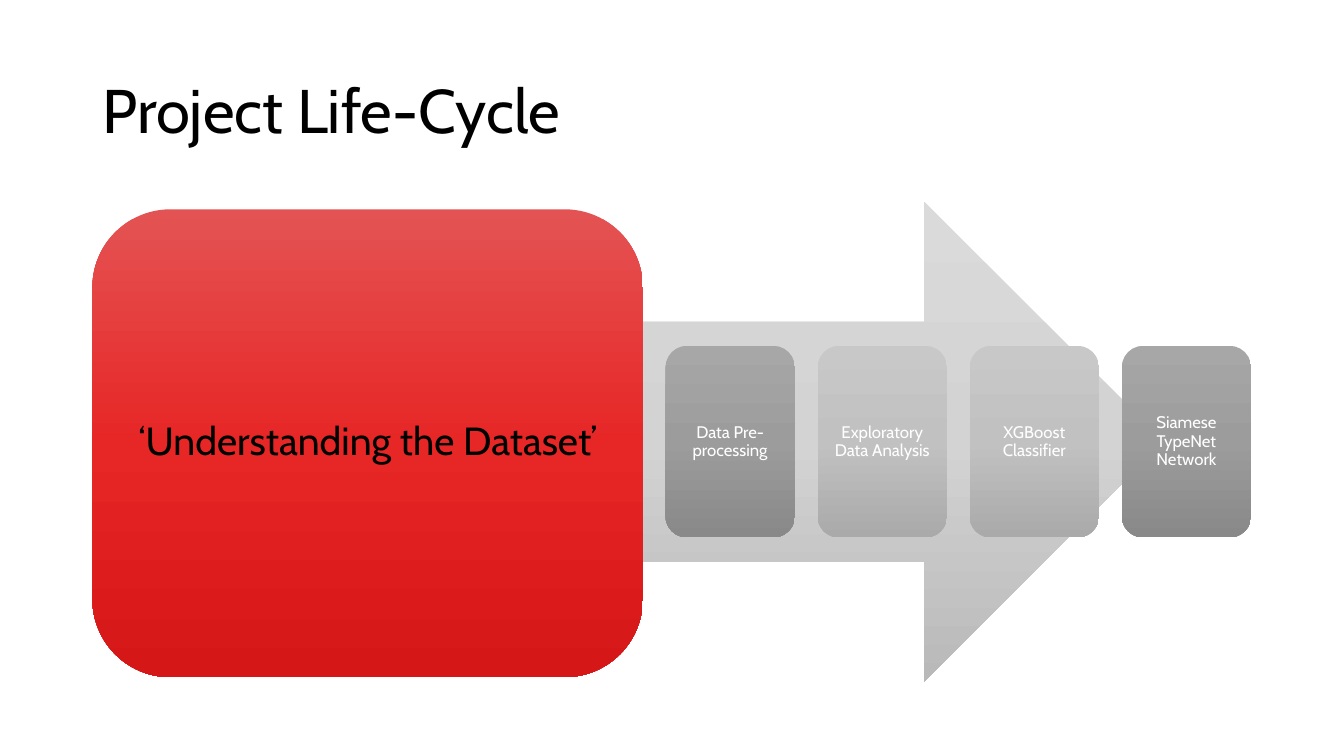
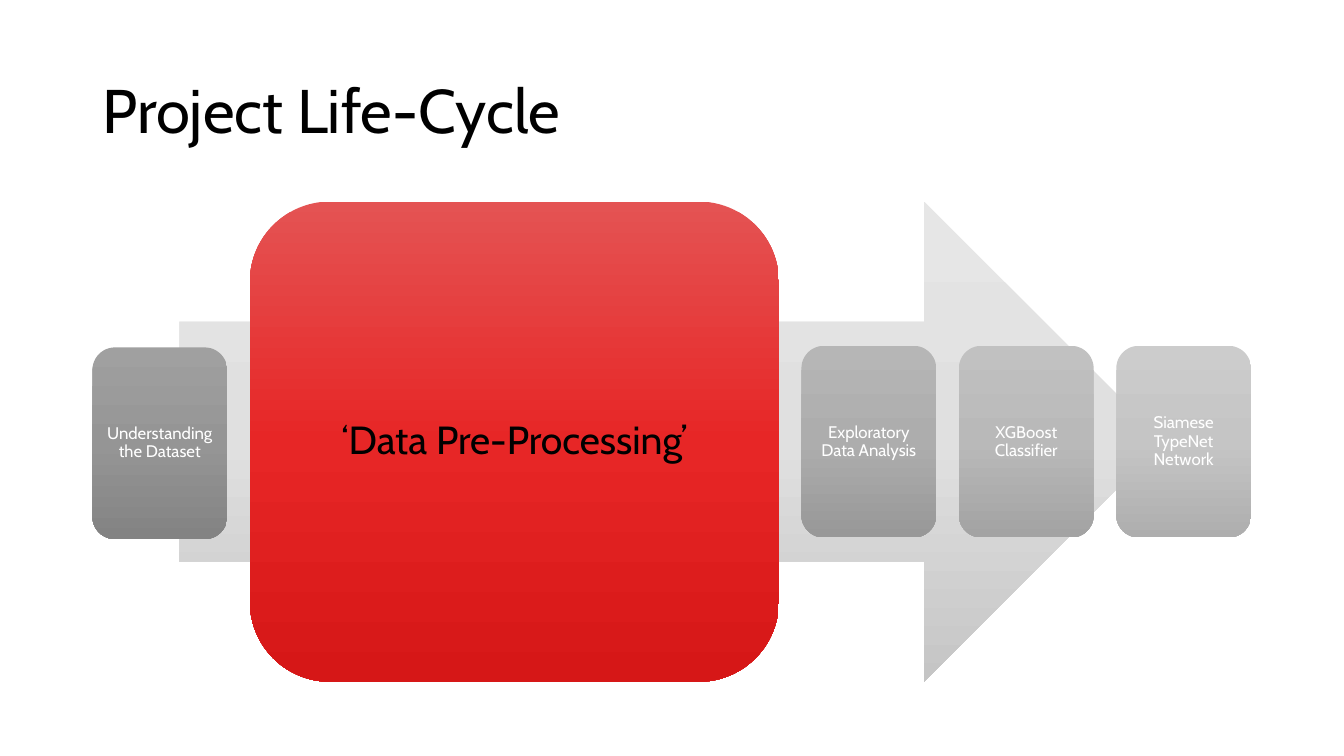
from copy import deepcopy

from pptx import Presentation, util as u
from pptx.dml.color import RGBColor
from pptx.enum import shapes, text
from pptx.oxml.ns import qn

FONT = "Cabin"
BLACK, WHITE = "000000", "FFFFFF"
RED = ("E45353", "E72626", "D61717")
DARK = ("A7A7A7", "9C9C9C", "898989")
LIGHT = ("C8C8C8", "C1C1C1", "AAAAAA")

TITLE = "Project Life-Cycle"
TITLE_BOX = (2.33, 1.02, 29.2, 3.68)
CYCLE_BOX = (2.33, 5.08, 29.2, 12.1)
GAP = 0.57
STEP_HEIGHT = 4.83
FIRST_DROP = 0.04

TITLE_STYLE = {"size": u.Pt(44), "color": BLACK, "align": text.PP_ALIGN.LEFT, "inset": (0.25, 0.13)}
ACTIVE_STYLE = {"size": u.Pt(28), "color": BLACK, "align": text.PP_ALIGN.CENTER, "inset": (0.2, 0.2)}
STEP_STYLE = {"size": u.Pt(12), "color": WHITE, "align": text.PP_ALIGN.CENTER, "inset": (0.13, 0.13)}

CYCLES = [
    {
        "active": 0,
        "active_size": (13.87, 11.79),
        "arrow": ("DADADA", "D3D3D3", "B9B9B9"),
        "steps": [
            ("‘Understanding the Dataset’", RED),
            ("Data Pre-processing", DARK),
            ("Exploratory Data Analysis", LIGHT),
            ("XGBoost Classifier", LIGHT),
            ("Siamese TypeNet Network", DARK),
        ],
    },
    {
        "active": 1,
        "active_size": (13.33, 12.1),
        "arrow": ("E6E6E6", "E0E0E0", "C5C5C5"),
        "steps": [
            ("Understanding the Dataset", ("A0A0A0", "959595", "838383")),
            ("‘Data Pre-Processing’", RED),
            ("Exploratory Data Analysis", ("B6B6B6", "ADADAD", "989898")),
            ("XGBoost Classifier", ("C1C1C1", "B9B9B9", "A3A3A3")),
            ("Siamese TypeNet Network", ("CCCCCC", "C5C5C5", "AEAEAE")),
        ],
    },
]


def rgb(value):
    """Turn a hex string into a colour."""
    return RGBColor.from_string(value)


def place(sp, box):
    """Move and size a shape to a box given in centimetres."""
    for name, value in zip(("left", "top", "width", "height"), box):
        setattr(sp, name, u.Cm(value))


def write(sp, words, style):
    """Write one paragraph into a shape with the given style."""
    tf = sp.text_frame
    x, y = (u.Cm(v) for v in style["inset"])
    frame = {
        "word_wrap": True,
        "auto_size": text.MSO_AUTO_SIZE.NONE,
        "vertical_anchor": text.MSO_ANCHOR.MIDDLE,
        "margin_left": x,
        "margin_right": x,
        "margin_top": y,
        "margin_bottom": y,
    }
    for name, value in frame.items():
        setattr(tf, name, value)
    p = tf.paragraphs[0]
    p.alignment, p.line_spacing = style["align"], 0.9
    r = p.add_run()
    r.text = words
    for name, value in {"name": FONT, "size": style["size"]}.items():
        setattr(r.font, name, value)
    r.font.color.rgb = rgb(style["color"])


def add_gradient_shape(parent, kind, box, colors):
    """Add a borderless preset shape with a top-to-bottom gradient."""
    sp = parent.add_shape(kind, *(u.Cm(v) for v in box))
    sp.shadow.inherit = False
    sp.line.fill.background()
    sp.fill.gradient()
    sp.fill.gradient_angle = 270
    stops = sp.element.spPr.find(".//" + qn("a:gsLst"))
    stops.append(deepcopy(stops[-1]))
    for stop, position, color in zip(sp.fill.gradient_stops, (0, 0.5, 1), colors):
        stop.position = position
        stop.color.rgb = rgb(color)
    return sp


def add_title(s, box):
    """Fill and place the title placeholder."""
    place(s.shapes.title, box)
    write(s.shapes.title, TITLE, TITLE_STYLE)


def add_cycle(s, box, cycle):
    """Draw the arrow and its row of steps inside a box."""
    left, top, width, height = box
    parent = s.shapes.add_group_shape().shapes
    arrow_box = (left + 0.075 * width, top, 0.85 * width, height)
    add_gradient_shape(parent, shapes.MSO_SHAPE.RIGHT_ARROW, arrow_box, cycle["arrow"])
    others = len(cycle["steps"]) - 1
    step_width = (width - cycle["active_size"][0] - others * GAP) / others
    x = left
    for i, (words, colors) in enumerate(cycle["steps"]):
        active = i == cycle["active"]
        w, h = cycle["active_size"] if active else (step_width, STEP_HEIGHT)
        y = top + (height - h) / 2 + (0 if i else FIRST_DROP)
        sp = add_gradient_shape(parent, shapes.MSO_SHAPE.ROUNDED_RECTANGLE, (x, y, w, h), colors)
        write(sp, words, ACTIVE_STYLE if active else STEP_STYLE)
        x += w + GAP


def main():
    """Build and save the presentation."""
    prs = Presentation()
    prs.slide_width, prs.slide_height = u.Cm(33.87), u.Cm(19.05)
    for cycle in CYCLES:
        s = prs.slides.add_slide(prs.slide_layouts[5])
        add_title(s, TITLE_BOX)
        add_cycle(s, CYCLE_BOX, cycle)
    prs.save("out.pptx")


if __name__ == "__main__":
    main()
